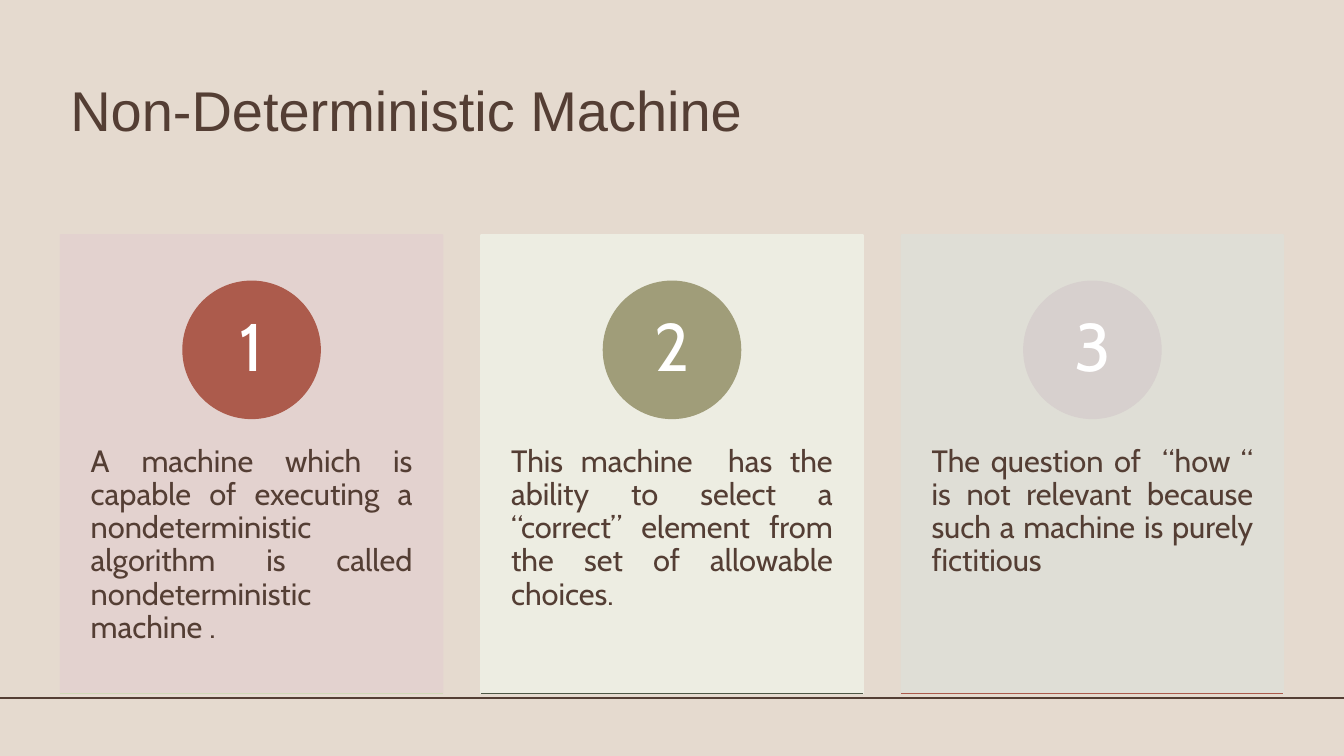
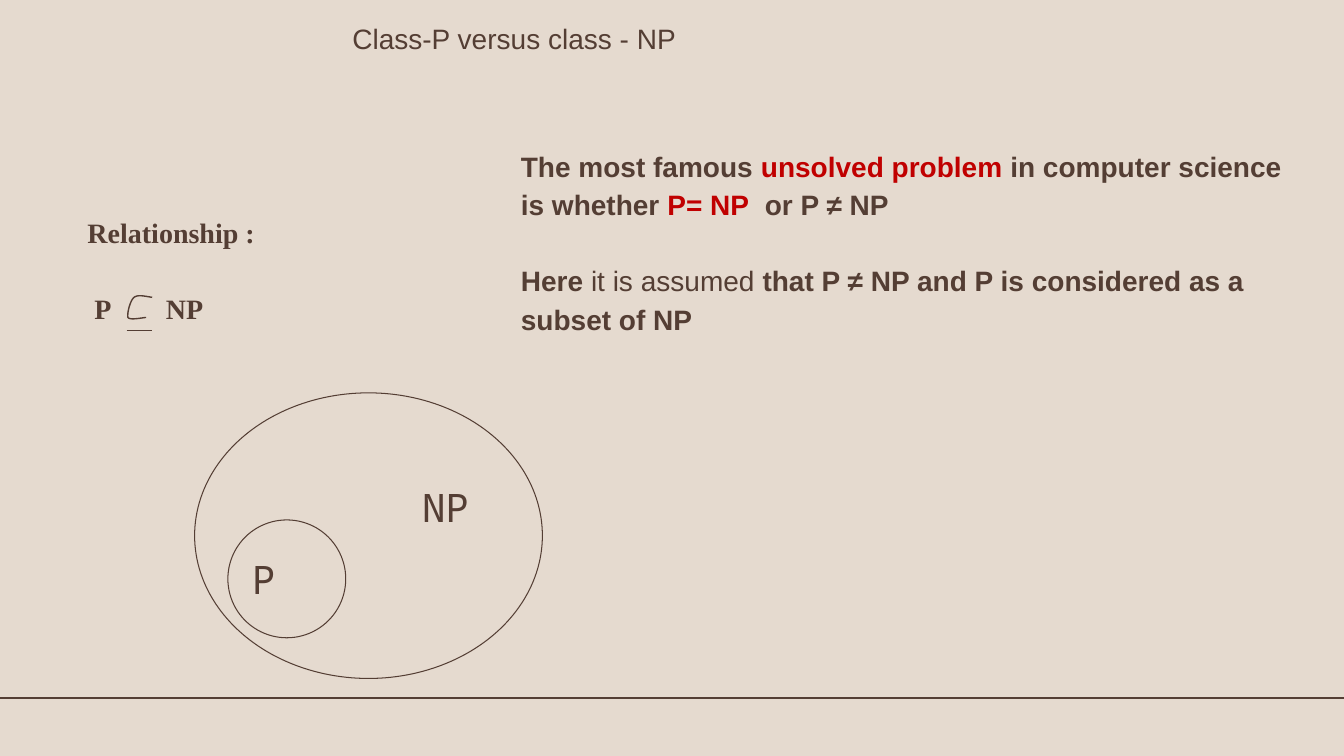
"""Build two slides on non-deterministic machines and the classes P and NP."""
from dataclasses import dataclass
from typing import NamedTuple

from pptx import Presentation
from pptx.dml.color import RGBColor
from pptx.enum.shapes import MSO_CONNECTOR, MSO_SHAPE
from pptx.enum.text import MSO_ANCHOR, PP_ALIGN
from pptx.oxml.ns import qn
from pptx.util import Pt
from lxml import etree

RECTANGLE, OVAL = MSO_SHAPE.RECTANGLE, MSO_SHAPE.OVAL
STRAIGHT = MSO_CONNECTOR.STRAIGHT
TOP, MIDDLE = MSO_ANCHOR.TOP, MSO_ANCHOR.MIDDLE
LEFT, CENTER, JUSTIFY = PP_ALIGN.LEFT, PP_ALIGN.CENTER, PP_ALIGN.JUSTIFY

WIDTH, HEIGHT = 960, 540
FOOT_Y = 498.4
SAND, BROWN, RED, WHITE = "E5DACF", "543E34", "C00000", "FFFFFF"
SANS, BODY, SERIF, MONO = "Arial", "Cabin", "Times New Roman", "Noto Sans Mono"

CARD_LEFT, CARD_TOP, CARD_WIDTH, CARD_HEIGHT = 43.2, 167.8, 273, 327.6
CARD_STEP = 300.3
CARD_TEXT_TOP, CARD_TEXT_HEIGHT = 292.3, 196.6
BADGE_TOP, BADGE_SIZE = 200.9, 98
CARD_OPACITY = 90
BLANK_LINE = 26.4
CURVE_STEPS = 12
UNITS_PER_POINT = 100


class Area(NamedTuple):
    left: float
    top: float
    width: float
    height: float


class Point(NamedTuple):
    x: float
    y: float


@dataclass(frozen=True)
class Span:
    text: str
    color: str = BROWN
    bold: bool = False


@dataclass(frozen=True)
class Style:
    font: str
    size: float
    align: PP_ALIGN = LEFT
    line_spacing: float = 1.0
    anchor: MSO_ANCHOR = TOP
    inset_x: float = 7.2
    inset_y: float = 3.6
    gap: float = 0
    tab: float = 0


@dataclass(frozen=True)
class Card:
    text: str
    back: str
    badge: str
    base: str


TITLE = Style(SANS, 40, line_spacing=0.9, anchor=MIDDLE)
SMALL_TITLE = Style(SANS, 20)
CARD_TEXT = Style(BODY, 22, JUSTIFY, 0.9, inset_x=21.6, inset_y=25.9)
BADGE_TEXT = Style(BODY, 48, CENTER, 0.9, MIDDLE, 0, 0)
RELATION = Style(SERIF, 20, LEFT, 1.15, gap=BLANK_LINE, tab=56)
STATEMENT = Style(SANS, 20, LEFT, 1.15, gap=BLANK_LINE)
SET_LABEL = Style(MONO, 28)

CARDS = [
    Card("A machine which is capable of executing a nondeterministic algorithm "
         "is called nondeterministic machine .", "E3D2D0", "AC5B4C", "D0D8B6"),
    Card("This machine  has the ability to select a “correct” element from "
         "the set of allowable choices.", "EEF0E5", "A09D79", "4E5745"),
    Card("The question of  “how “ is not relevant because such a machine "
         "is purely fictitious", "DFDFD7", "D7D0CE", "AC5B4C"),
]

STATEMENTS = [
    [Span("The most famous ", bold=True), Span("unsolved problem", RED, True),
     Span(" in computer science is whether ", bold=True),
     Span("P= NP", RED, True), Span("  or P ≠ NP", bold=True)],
    [Span("Here ", bold=True), Span("it is assumed "),
     Span("that P ≠ NP and P is considered as a subset of NP", bold=True)],
]

SUBSET_CURVES = [
    (Point(108.7, 212.4), Point(103.7, 211.7), Point(98.6, 210.2), Point(95.8, 212.4)),
    (Point(95.8, 212.4), Point(92.9, 214.6), Point(90.7, 223.9), Point(91.4, 226.8)),
    (Point(91.4, 226.8), Point(92.9, 229), Point(102.2, 226.8), Point(104.4, 226.8)),
]


def rgb(color: str) -> RGBColor:
    """Turn a hex string into a colour."""
    return RGBColor.from_string(color)


def write(shape, paragraphs: list[list[Span]], style: Style) -> None:
    """Fill a shape with styled paragraphs, run by run."""
    frame = shape.text_frame
    frame.word_wrap = True
    frame.vertical_anchor = style.anchor
    frame.margin_left = frame.margin_right = Pt(style.inset_x)
    frame.margin_top = frame.margin_bottom = Pt(style.inset_y)
    for index, spans in enumerate(paragraphs):
        para = frame.add_paragraph() if index else frame.paragraphs[0]
        para.alignment = style.align
        para.line_spacing = style.line_spacing
        if index and style.gap:
            para.space_before = Pt(style.gap)
        if style.tab:
            tabs = etree.SubElement(para._p.get_or_add_pPr(), qn("a:tabLst"))
            etree.SubElement(tabs, qn("a:tab"), pos=str(Pt(style.tab)), algn="l")
        for span in spans:
            run = para.add_run()
            run.text = span.text
            run.font.name = style.font
            run.font.size = Pt(style.size)
            run.font.bold = span.bold
            run.font.color.rgb = rgb(span.color)


def add_text(page, area: Area, paragraphs: list[list[Span]], style: Style) -> None:
    """Add a text box."""
    write(page.shapes.add_textbox(*map(Pt, area)), paragraphs, style)


def paint(shape, fill: str | None, line: str, weight: float, opacity: int = 100) -> None:
    """Set the fill, outline and opacity of a shape."""
    shape.shadow.inherit = False
    if fill:
        shape.fill.solid()
        shape.fill.fore_color.rgb = rgb(fill)
    else:
        shape.fill.background()
    shape.line.color.rgb = rgb(line)
    shape.line.width = Pt(weight)
    if opacity < 100:
        for color in shape.element.spPr.iter(qn("a:srgbClr")):
            etree.SubElement(color, qn("a:alpha"), val=str(opacity * 1000))


def add_rule(page, left: float, y: float, width: float, color: str, weight: float) -> None:
    """Draw a horizontal line."""
    rule = page.shapes.add_connector(STRAIGHT, Pt(left), Pt(y), Pt(left + width), Pt(y))
    rule.line.color.rgb = rgb(color)
    rule.line.width = Pt(weight)
    etree.SubElement(rule.element.spPr, qn("a:effectLst"))


def add_page(deck):
    """Add a blank page with the shared background and foot line."""
    page = deck.slides.add_slide(deck.slide_layouts[6])
    page.background.fill.solid()
    page.background.fill.fore_color.rgb = rgb(SAND)
    add_rule(page, 0, FOOT_Y, WIDTH, BROWN, 1.25)
    return page


def add_card(page, index: int, card: Card) -> None:
    """Draw one numbered card with its text and base line."""
    left = CARD_LEFT + index * CARD_STEP
    back = page.shapes.add_shape(
        RECTANGLE, Pt(left), Pt(CARD_TOP), Pt(CARD_WIDTH), Pt(CARD_HEIGHT))
    paint(back, card.back, card.back, 1, CARD_OPACITY)
    add_text(page, Area(left, CARD_TEXT_TOP, CARD_WIDTH, CARD_TEXT_HEIGHT),
             [[Span(card.text)]], CARD_TEXT)
    badge = page.shapes.add_shape(
        OVAL, Pt(left + (CARD_WIDTH - BADGE_SIZE) / 2), Pt(BADGE_TOP),
        Pt(BADGE_SIZE), Pt(BADGE_SIZE))
    paint(badge, card.badge, card.badge, 1)
    write(badge, [[Span(str(index + 1), WHITE)]], BADGE_TEXT)
    add_rule(page, left, CARD_TOP + CARD_HEIGHT, CARD_WIDTH, card.base, 1)


def curve_point(curve: tuple[Point, ...], step: int) -> tuple[float, float]:
    """Find a point on a cubic curve, in freeform units."""
    t = step / CURVE_STEPS
    weights = ((1 - t) ** 3, 3 * t * (1 - t) ** 2, 3 * t * t * (1 - t), t ** 3)
    x = sum(weight * point.x for weight, point in zip(weights, curve))
    y = sum(weight * point.y for weight, point in zip(weights, curve))
    return x * UNITS_PER_POINT, y * UNITS_PER_POINT


def add_subset_sign(page) -> None:
    """Draw the hand-made subset sign and its bar."""
    points = [curve_point(curve, step)
              for curve in SUBSET_CURVES for step in range(1, CURVE_STEPS + 1)]
    start = curve_point(SUBSET_CURVES[0], 0)
    builder = page.shapes.build_freeform(*start, scale=Pt(1) / UNITS_PER_POINT)
    builder.add_line_segments(points, close=False)
    paint(builder.convert_to_shape(), None, BROWN, 1)
    add_rule(page, 90.4, 236, 18.4, BROWN, 1)


def add_machine_page(deck) -> None:
    """Build the page about the non-deterministic machine."""
    page = add_page(deck)
    add_text(page, Area(43.2, 28.8, 873.4, 104.4),
             [[Span("Non-Deterministic Machine")]], TITLE)
    for index, card in enumerate(CARDS):
        add_card(page, index, card)


def add_classes_page(deck) -> None:
    """Build the page that compares the classes P and NP."""
    page = add_page(deck)
    add_text(page, Area(244.6, 11.5, 498, 31.7),
             [[Span("Class-P versus class - NP")]], SMALL_TITLE)
    add_text(page, Area(55.4, 147, 260, 86),
             [[Span("Relationship :", bold=True)], [Span(" P\tNP", bold=True)]], RELATION)
    for area, fill in ((Area(139, 280.6, 248.4, 204), None),
                       (Area(162.8, 371.4, 84.2, 84.2), SAND)):
        paint(page.shapes.add_shape(OVAL, *map(Pt, area)), fill, BROWN, 0.75)
    for name, left, top in (("NP", 294.4, 342), ("P", 172.8, 393.2)):
        add_text(page, Area(left, top, 90.7, 41), [[Span(name)]], SET_LABEL)
    add_subset_sign(page)
    add_text(page, Area(365, 99.4, 561.6, 113.8), STATEMENTS, STATEMENT)


def main() -> None:
    """Build and save the deck."""
    deck = Presentation()
    deck.slide_width, deck.slide_height = Pt(WIDTH), Pt(HEIGHT)
    add_machine_page(deck)
    add_classes_page(deck)
    deck.save("out.pptx")


if __name__ == "__main__":
    main()
